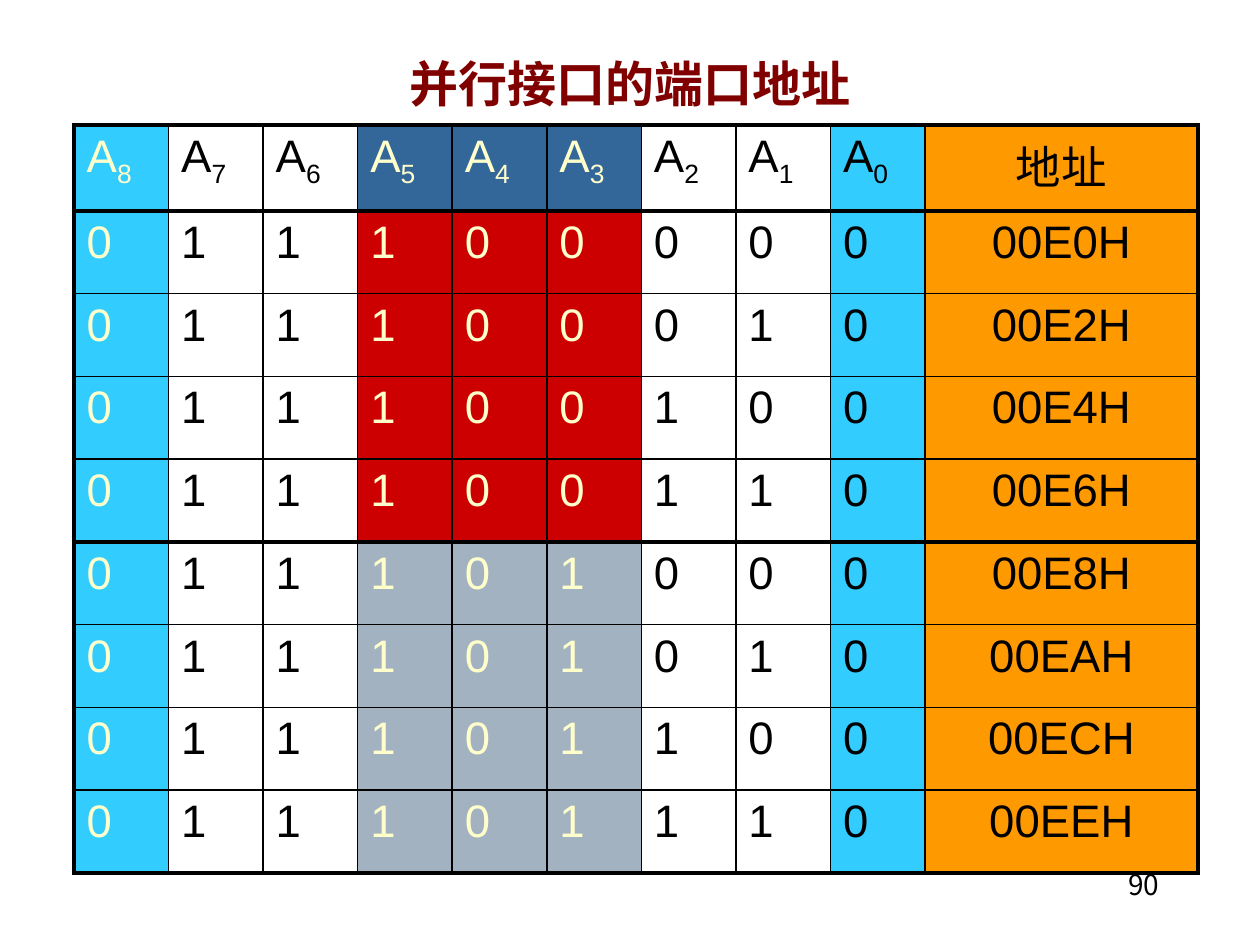
from lxml import etree
from pptx import Presentation
from pptx.dml.color import RGBColor
from pptx.enum.text import MSO_ANCHOR, PP_ALIGN
from pptx.oxml.ns import qn
from pptx.util import Pt

EMU_PER_PX = 914400 / 126
BLANK_LAYOUT = 6
LEFT, CENTER = PP_ALIGN.LEFT, PP_ALIGN.CENTER
TOP, BOTTOM = MSO_ANCHOR.TOP, MSO_ANCHOR.BOTTOM

BLACK = RGBColor(0x00, 0x00, 0x00)
WHITE = RGBColor(0xFF, 0xFF, 0xFF)
MAROON = RGBColor(0x80, 0x00, 0x00)
CREAM = RGBColor(0xFF, 0xFF, 0xCC)
CYAN = RGBColor(0x33, 0xCC, 0xFF)
BLUE = RGBColor(0x33, 0x66, 0x99)
RED = RGBColor(0xCC, 0x00, 0x00)
GREY = RGBColor(0xA3, 0xB2, 0xC1)
ORANGE = RGBColor(0xFF, 0x99, 0x00)

ADDRESSES = range(0xE0, 0xF0, 2)
BITS = range(8, -1, -1)
DECODED_BITS = (5, 4, 3)
GROUP_SIZE = 4
THIN, FRAME, THICK = 1, 2.25, 3


def px(length):
    """Turn pixels into EMU."""
    return round(length * EMU_PER_PX)


def style(paragraph, size, font, color, align=LEFT, bold=False):
    """Set the alignment and font of a paragraph."""
    paragraph.alignment = align
    paragraph.font.size = Pt(size)
    paragraph.font.name = font
    paragraph.font.bold = bold
    paragraph.font.color.rgb = color


def add_label(page, bounds, text, anchor, **look):
    """Add a text box with one styled paragraph."""
    box = page.shapes.add_textbox(*map(px, bounds))
    frame = box.text_frame
    frame.word_wrap = True
    frame.vertical_anchor = anchor
    frame.paragraphs[0].add_run().text = text
    style(frame.paragraphs[0], **look)
    return box


def set_borders(cell, widths):
    """Draw the left, right, top and bottom borders of a cell."""
    properties = cell._tc.get_or_add_tcPr()
    for side, width in zip("LRTB", widths):
        line = etree.SubElement(properties, qn(f"a:ln{side}"), w=str(Pt(width)))
        fill = etree.SubElement(line, qn("a:solidFill"))
        etree.SubElement(fill, qn("a:srgbClr"), val=str(BLACK))


def rule_width(edge, count):
    """Give the width of a horizontal rule, counted from the top."""
    if edge in (0, count):
        return FRAME
    return THICK if edge % GROUP_SIZE == 1 else THIN


def bit_fill(bit, row):
    """Give the fill of a bit cell."""
    if bit in DECODED_BITS:
        return BLUE if row == 0 else RED if row <= GROUP_SIZE else GREY
    return CYAN if bit in (8, 0) else WHITE


def fill_cell(cell, text, fill, color=BLACK, align=LEFT, subscript=""):
    """Write a cell's text, with an optional subscript, and fill it."""
    paragraph = cell.text_frame.paragraphs[0]
    paragraph.add_run().text = text
    if subscript:
        span = paragraph.add_run()
        span.text = subscript
        span._r.get_or_add_rPr().set("baseline", "-25000")
    style(paragraph, 26, "Arial", color, align)
    cell.fill.solid()
    cell.fill.fore_color.rgb = fill


def add_address_table(page):
    """Add the table of address bits and port addresses."""
    row_count, column_count = len(ADDRESSES) + 1, len(BITS) + 1
    table = page.shapes.add_table(
        row_count, column_count, px(74), px(125), px(1124), px(748)).table
    table.first_row = table.horz_banding = False
    for column in table.columns:
        column.width = px(851) // len(BITS)
    table.columns[column_count - 1].width = px(273)
    for row in table.rows:
        row.height = px(662) // len(ADDRESSES)
    table.rows[0].height = px(86)

    for row in range(row_count):
        for column in range(column_count):
            set_borders(table.cell(row, column), (
                FRAME if column == 0 else THIN,
                FRAME if column == column_count - 1 else THIN,
                rule_width(row, row_count),
                rule_width(row + 1, row_count)))
        for column, bit in enumerate(BITS):
            color = CREAM if bit == 8 or bit in DECODED_BITS else BLACK
            text = str(ADDRESSES[row - 1] >> bit & 1) if row else "A"
            fill_cell(table.cell(row, column), text, bit_fill(bit, row), color,
                      subscript="" if row else str(bit))
        address = f"{ADDRESSES[row - 1]:04X}H" if row else "地址"
        fill_cell(table.cell(row, len(BITS)), address, ORANGE, align=CENTER)


def main():
    """Build the slide and save it."""
    deck = Presentation()
    deck.slide_width, deck.slide_height = px(1260), px(945)
    page = deck.slides.add_slide(deck.slide_layouts[BLANK_LAYOUT])
    title = add_label(page, (79, 26, 1102, 93), "并行接口的端口地址", BOTTOM, size=28,
                      font="Times New Roman", color=MAROON, align=CENTER, bold=True)
    title.fill.solid()
    title.fill.fore_color.rgb = WHITE
    add_address_table(page)
    add_label(page, (1116, 861, 66, 66), "90", TOP, size=16,
              font="Noto Sans CJK KR", color=BLACK)
    deck.save("out.pptx")


if __name__ == "__main__":
    main()
